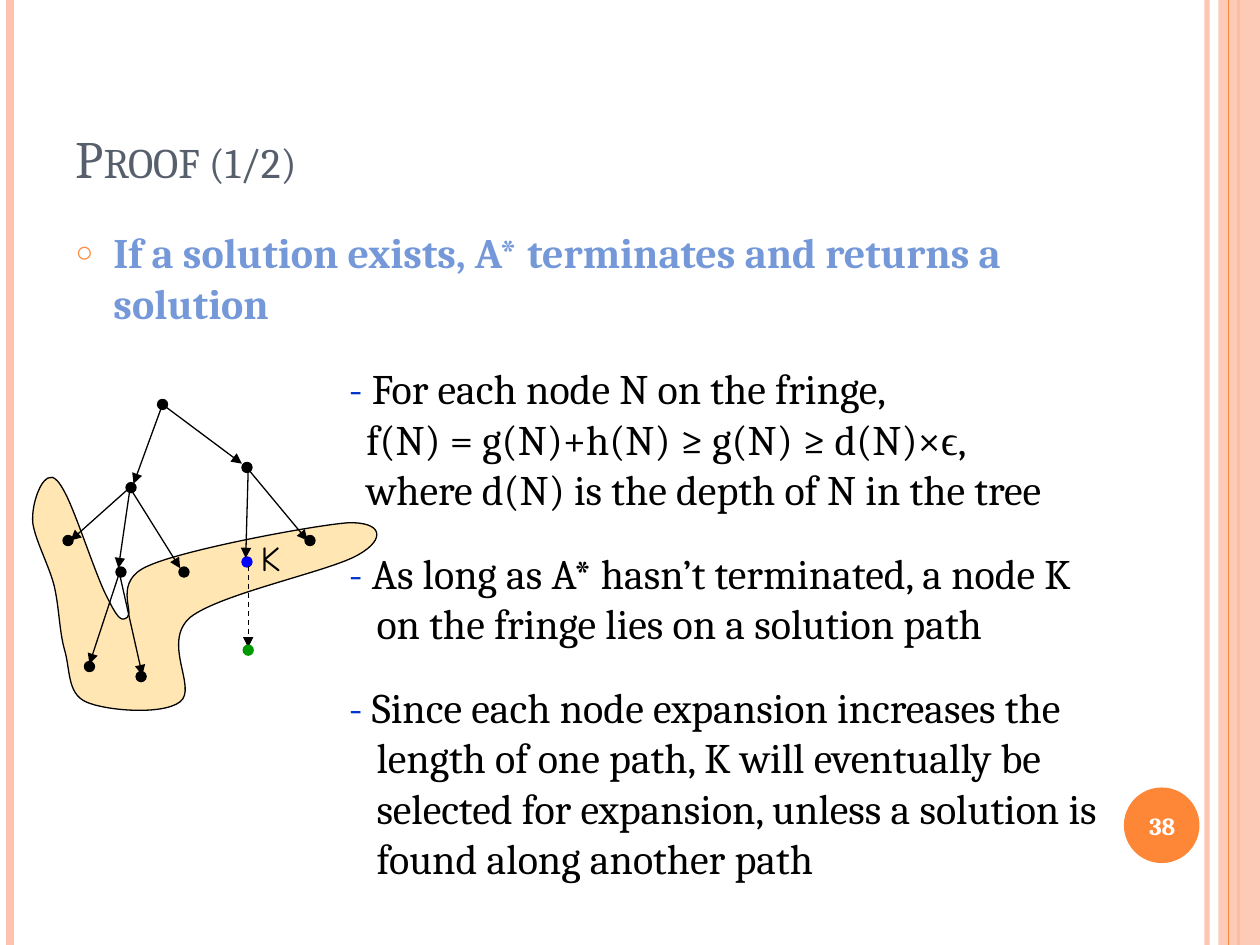
from dataclasses import dataclass

from lxml import etree
from pptx import Presentation
from pptx.dml.color import RGBColor
from pptx.enum.dml import MSO_LINE
from pptx.enum.shapes import MSO_CONNECTOR, MSO_SHAPE
from pptx.enum.text import MSO_ANCHOR, MSO_AUTO_SIZE, PP_ALIGN
from pptx.oxml.ns import qn
from pptx.util import Inches, Pt

STRAIGHT = MSO_CONNECTOR.STRAIGHT
RECTANGLE, OVAL = MSO_SHAPE.RECTANGLE, MSO_SHAPE.OVAL
DASH = MSO_LINE.DASH
TOP, MIDDLE, BOTTOM = MSO_ANCHOR.TOP, MSO_ANCHOR.MIDDLE, MSO_ANCHOR.BOTTOM
LEFT, CENTER = PP_ALIGN.LEFT, PP_ALIGN.CENTER
NO_FIT = MSO_AUTO_SIZE.NONE

SERIF, SYMBOL, HAND = "Cambria", "Times New Roman", "Comic Neue"
ORANGE, PEACH, BLACK, GREEN = "FE8637", "FEC3AE", "000000", "009900"
NODE_SIZE = 0.08

Point = tuple[float, float]
Box = tuple[float, float, float, float]


@dataclass(frozen=True)
class Stripe:
    x: float
    color: str
    width: float
    alpha: int = 100


@dataclass(frozen=True)
class Node:
    x: float
    y: float
    color: str = BLACK


@dataclass(frozen=True)
class Edge:
    start: Point
    end: Point
    dashed: bool = False


@dataclass(frozen=True)
class Words:
    text: str
    color: str = BLACK
    font: str = SERIF


@dataclass(frozen=True)
class Step:
    hang: float
    gap: float
    words: tuple[Words, ...]


BACK_STRIPES = [Stripe(9.58, PEACH, 3, 93), Stripe(0.08, PEACH, 4.5), Stripe(9.83, ORANGE, 1.5)]
FRONT_STRIPE = Stripe(9.75, ORANGE, 0.75)

TREE_NODES = [
    Node(0.5, 4.25), Node(1.92, 4.42, "0000FF"), Node(1.25, 3.17), Node(1.42, 4.5),
    Node(1.92, 3.67), Node(0.92, 4.5), Node(1, 3.83), Node(1.08, 5.33),
    Node(2.42, 4.25), Node(0.67, 5.25),
]
TREE_EDGES = [
    Edge((1.29, 3.21), (1.06, 3.84)), Edge((1.29, 3.21), (1.92, 3.68)),
    Edge((1.03, 3.87), (0.56, 4.29)), Edge((1.03, 3.89), (0.94, 4.51)),
    Edge((1.03, 3.87), (1.43, 4.51)), Edge((1.97, 3.73), (1.95, 4.43)),
    Edge((1.95, 3.7), (2.44, 4.29)), Edge((0.95, 4.54), (0.71, 5.27)),
    Edge((0.95, 4.56), (1.13, 5.36)),
]
GOAL_NODE = Node(1.93, 5.12, GREEN)
GOAL_EDGE = Edge((1.97, 4.49), (1.97, 5.14), True)

FRINGE_BOX = (0.25, 3.75, 2.81, 1.93)
FRINGE_START = (0.35, 3.82)
FRINGE_CURVES = [
    ((0.39, 3.78), (0.43, 3.75), (0.51, 3.9)), ((0.6, 4.06), (0.76, 4.57), (0.85, 4.74)),
    ((0.93, 4.9), (0.96, 4.94), (1.01, 4.9)), ((1.07, 4.86), (0.89, 4.61), (1.18, 4.49)),
    ((1.47, 4.36), (2.49, 4.17), (2.76, 4.15)), ((3.04, 4.14), (3.06, 4.28), (2.85, 4.4)),
    ((2.64, 4.53), (1.75, 4.71), (1.51, 4.9)), ((1.28, 5.1), (1.57, 5.46), (1.43, 5.57)),
    ((1.29, 5.68), (0.83, 5.64), (0.68, 5.57)), ((0.53, 5.5), (0.56, 5.31), (0.51, 5.15)),
    ((0.47, 5), (0.47, 4.82), (0.43, 4.65)), ((0.39, 4.49), (0.28, 4.29), (0.26, 4.15)),
    ((0.25, 4.01), (0.31, 3.86), FRINGE_START),
]
HYPHEN = Words("-", "0033CC")
STEPS = [
    Step(0.14, 0, (
        HYPHEN,
        Words(" For each node N on the fringe,\vf(N) = g(N)+h(N) ≥ g(N) ≥ d(N)×"),
        Words("ϵ", font=SYMBOL),
        Words(",\vwhere d(N) is the depth of N in the tree"),
    )),
    Step(0.22, 19, (
        HYPHEN,
        Words(" As long as A* hasn’t terminated, a node K\von the fringe lies on a solution path"),
    )),
    Step(0.22, 19, (
        HYPHEN,
        Words(" Since each node expansion increases the\vlength of one path, K will eventually be\v"
              "selected for expansion, unless a solution is\vfound along another path"),
    )),
]


def rgb(color: str) -> RGBColor:
    return RGBColor.from_string(color)


def fade(shape, alpha: int) -> None:
    color = next(shape._element.spPr.iter(qn("a:srgbClr")))
    etree.SubElement(color, qn("a:alpha")).set("val", str(alpha * 1000))


def paint(shape, fill: str, line: str | None = None) -> None:
    shape.shadow.inherit = False
    shape.fill.solid()
    shape.fill.fore_color.rgb = rgb(fill)
    if line:
        shape.line.color.rgb = rgb(line)
        shape.line.width = Pt(0.75)
    else:
        shape.line.fill.background()


def draw_line(shapes, start: Point, end: Point, color: str, width: float):
    line = shapes.add_connector(STRAIGHT, *map(Inches, (*start, *end)))
    line.line.color.rgb = rgb(color)
    line.line.width = Pt(width)
    etree.SubElement(line._element.spPr, qn("a:effectLst"))
    return line


def draw_stripe(shapes, stripe: Stripe) -> None:
    line = draw_line(shapes, (stripe.x, 0), (stripe.x, 7.5), stripe.color, stripe.width)
    if stripe.alpha < 100:
        fade(line, stripe.alpha)


def draw_shape(shapes, kind, box: Box, fill: str, line: str | None = None):
    shape = shapes.add_shape(kind, *map(Inches, box))
    paint(shape, fill, line)
    return shape


def draw_node(shapes, node: Node) -> None:
    draw_shape(shapes, OVAL, (node.x, node.y, NODE_SIZE, NODE_SIZE), node.color, node.color)


def draw_edge(shapes, edge: Edge) -> None:
    line = draw_line(shapes, edge.start, edge.end, BLACK, 0.75)
    if edge.dashed:
        line.line.dash_style = DASH
    etree.SubElement(line.line._get_or_add_ln(), qn("a:tailEnd")).set("type", "triangle")


def place(shape, box: Box) -> None:
    shape.left, shape.top, shape.width, shape.height = map(Inches, box)


def draw_fringe(shapes) -> None:
    builder = shapes.build_freeform(*map(Inches, FRINGE_START), scale=1.0)
    builder.add_line_segments([tuple(map(Inches, curve[-1])) for curve in FRINGE_CURVES])
    fringe = builder.convert_to_shape()
    place(fringe, FRINGE_BOX)
    left, top, width, height = FRINGE_BOX
    outline = next(fringe._element.iter(qn("a:path")))
    outline.set("w", str(Inches(width)))
    outline.set("h", str(Inches(height)))

    def set_point(point, position: Point) -> None:
        point.set("x", str(Inches(position[0] - left)))
        point.set("y", str(Inches(position[1] - top)))

    set_point(outline.find(qn("a:moveTo")).find(qn("a:pt")), FRINGE_START)
    for segment, curve in zip(outline.findall(qn("a:lnTo")), FRINGE_CURVES):
        bend = etree.Element(qn("a:cubicBezTo"))
        for position in curve:
            set_point(etree.SubElement(bend, qn("a:pt")), position)
        outline.replace(segment, bend)
    paint(fringe, "FFE6B3", BLACK)


def add_words(paragraph, words: Words, size: float, bold: bool = False):
    for index, line in enumerate(words.text.split("\v")):
        if index:
            paragraph.add_line_break()
        run = paragraph.add_run()
        run.text = line
        run.font.name, run.font.size, run.font.bold = words.font, Pt(size), bold
        run.font.color.rgb = rgb(words.color)
    return run


def hang_indent(paragraph, inches: float):
    properties = paragraph._p.get_or_add_pPr()
    properties.set("marL", str(Inches(inches)))
    properties.set("indent", str(-Inches(inches)))
    return properties


def set_frame(shape, box: Box, anchor=TOP, wrap: bool = True):
    place(shape, box)
    frame = shape.text_frame
    frame.auto_size, frame.word_wrap, frame.vertical_anchor = NO_FIT, wrap, anchor
    return frame


def add_text(shapes, box: Box, anchor=TOP, wrap: bool = True):
    return set_frame(shapes.add_textbox(*map(Inches, box)), box, anchor, wrap)


def fill_placeholders(slide) -> None:
    heading = set_frame(slide.shapes.title, (0.5, 0.3, 8.17, 1.25), BOTTOM).paragraphs[0]
    heading.alignment = LEFT
    run = add_words(heading, Words("Proof (1/2)", "575F6D"), 30)
    run._r.get_or_add_rPr().set("cap", "small")

    claim = set_frame(slide.placeholders[1], (0.5, 1.75, 8.17, 5.33)).paragraphs[0]
    properties = hang_indent(claim, 0.3)
    bullet_color = etree.SubElement(properties, qn("a:buClr"))
    etree.SubElement(bullet_color, qn("a:srgbClr")).set("val", ORANGE)
    etree.SubElement(properties, qn("a:buSzPct")).set("val", "70000")
    etree.SubElement(properties, qn("a:buChar")).set("char", "○")
    claim.space_before = Pt(0)
    add_words(claim, Words("If a solution exists, A* terminates and returns a solution", "7598D9"),
              24, True)


def write_steps(shapes) -> None:
    frame = add_text(shapes, (2.67, 2.83, 7.17, 4.3))
    for index, step in enumerate(STEPS):
        paragraph = frame.add_paragraph() if index else frame.paragraphs[0]
        hang_indent(paragraph, step.hang)
        paragraph.space_before = Pt(step.gap)
        for words in step.words:
            add_words(paragraph, words, 24)


def draw_tree(shapes) -> None:
    tree = shapes.add_group_shape().shapes
    draw_fringe(tree)
    for node in TREE_NODES:
        draw_node(tree, node)
    for edge in TREE_EDGES:
        draw_edge(tree, edge)
    label = add_text(tree, (1.97, 4.21, 0.37, 0.43), wrap=False).paragraphs[0]
    add_words(label, Words("K", font=HAND), 20)
    goal = shapes.add_group_shape().shapes
    draw_edge(goal, GOAL_EDGE)
    draw_node(goal, GOAL_NODE)


def main() -> None:
    deck = Presentation()
    deck.slide_width, deck.slide_height = Inches(10), Inches(7.5)
    slide = deck.slides.add_slide(deck.slide_layouts[1])
    shapes = slide.shapes
    for stripe in BACK_STRIPES:
        draw_stripe(shapes, stripe)
    fade(draw_shape(shapes, RECTANGLE, (9.67, 0, 0.33, 7.5), PEACH), 87)
    draw_stripe(shapes, FRONT_STRIPE)
    draw_shape(shapes, OVAL, (8.92, 6.25, 0.6, 0.6), ORANGE)
    fill_placeholders(slide)
    page = add_text(shapes, (8.89, 6.27, 0.67, 0.57), MIDDLE).paragraphs[0]
    page.alignment = CENTER
    add_words(page, Words("38", "FFFFFF"), 14, True)
    write_steps(shapes)
    draw_tree(shapes)
    deck.save("out.pptx")


if __name__ == "__main__":
    main()
